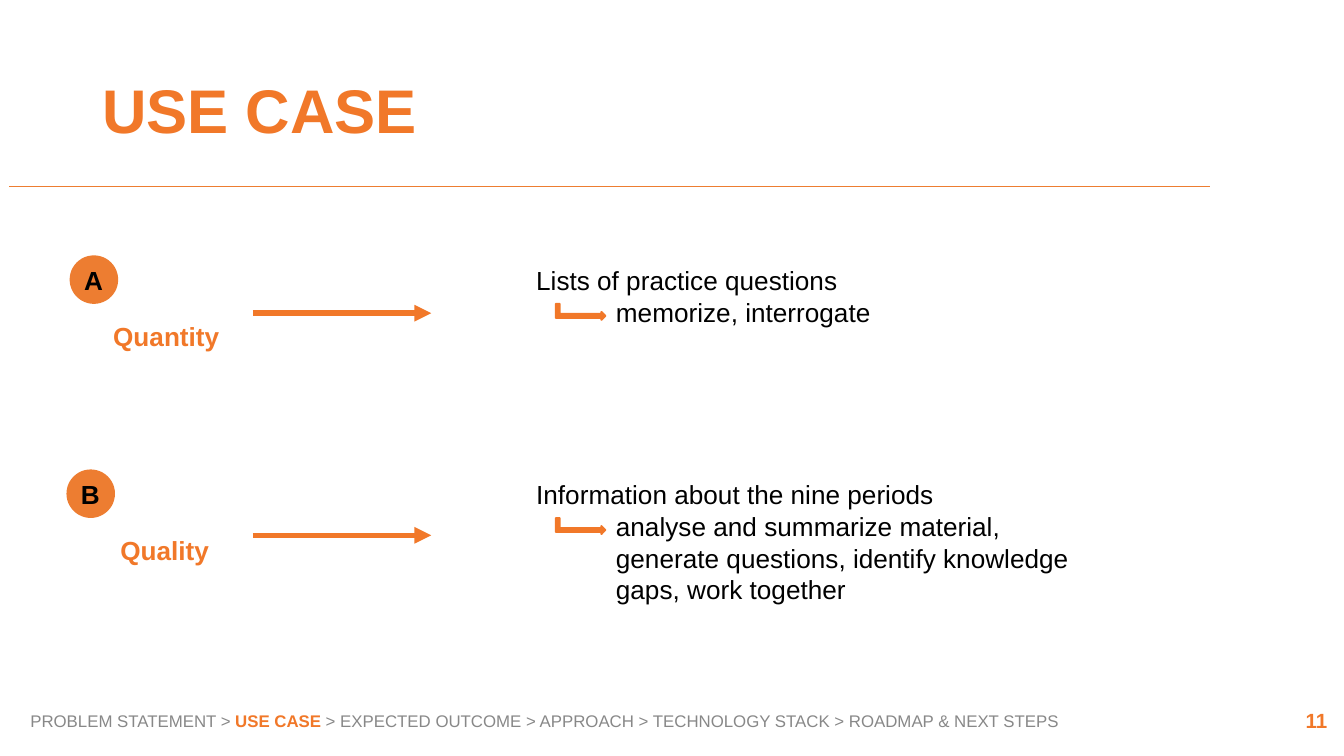
from lxml.etree import SubElement
from pptx import Presentation
from pptx.dml.color import RGBColor
from pptx.enum.shapes import MSO_CONNECTOR as Connector, MSO_SHAPE as Shape
from pptx.enum.text import MSO_ANCHOR as Anchor, MSO_AUTO_SIZE as AutoSize, PP_ALIGN as Align
from pptx.oxml.ns import qn
from pptx.util import Pt

ORANGE = RGBColor(0xF1, 0x78, 0x29)
BADGE_ORANGE = RGBColor(0xED, 0x7D, 0x31)
GRAY = RGBColor(0x88, 0x88, 0x88)
BLACK = RGBColor(0, 0, 0)

BODY = {"size": Pt(14), "bold": False, "color": BLACK}
LABEL = {"size": Pt(14), "bold": True, "color": ORANGE}
LETTER = {"size": Pt(14), "bold": True, "color": BLACK}
TITLE = {"size": Pt(33), "bold": True, "color": ORANGE}
PAGE_NUMBER = {"size": Pt(11), "bold": True, "color": ORANGE}
TRAIL = {"size": Pt(9), "bold": False, "color": GRAY}
TRAIL_CURRENT = {"size": Pt(9), "bold": True, "color": ORANGE}


class SlideBuilder:
    font_name = "Arial"
    frame_format = {
        "margin_left": Pt(5.25), "margin_right": Pt(5.25),
        "margin_top": Pt(2.63), "margin_bottom": Pt(2.63),
        "word_wrap": True,
    }

    def __init__(self, slide):
        self.slide = slide

    def text(self, box, runs, anchor=Anchor.TOP, align=Align.LEFT, spacing=None, grow=False, parent=None):
        """Add a text box; runs is a list of (wording, font format) pairs."""
        shape = (parent or self.slide).shapes.add_textbox(*map(Pt, box))
        frame = shape.text_frame
        for name, value in self.frame_format.items():
            setattr(frame, name, value)
        frame.vertical_anchor = anchor
        frame.auto_size = AutoSize.SHAPE_TO_FIT_TEXT if grow else AutoSize.NONE
        paragraph = frame.paragraphs[0]
        paragraph.alignment = align
        paragraph.line_spacing = spacing
        for wording, font_format in runs:
            run = paragraph.add_run()
            run.text = wording
            run.font.name = self.font_name
            for name, value in font_format.items():
                if name == "color":
                    run.font.color.rgb = value
                else:
                    setattr(run.font, name, value)

    def shape(self, kind, box, fill, outline=None, rotation=0, parent=None):
        shape = (parent or self.slide).shapes.add_shape(kind, *map(Pt, box))
        shape.shadow.inherit = False
        shape.rotation = rotation
        shape.fill.solid()
        shape.fill.fore_color.rgb = fill
        if outline:
            shape.line.color.rgb = outline
            shape.line.width = Pt(1)
        else:
            shape.line.fill.background()

    def line(self, left, right, y, color, width, arrow=False):
        """Add a horizontal line, with an arrowhead at its right end if asked."""
        connector = self.slide.shapes.add_connector(Connector.STRAIGHT, Pt(left), Pt(y), Pt(right), Pt(y))
        connector.line.color.rgb = color
        connector.line.width = Pt(width)
        properties = connector._element.spPr
        if arrow:
            SubElement(properties.find(qn("a:ln")), qn("a:tailEnd"), type="triangle")
        SubElement(properties, qn("a:effectLst"))

    def badge(self, letter, label, left, top, label_left, label_width):
        """Add a lettered circle grouped with its label."""
        group = self.slide.shapes.add_group_shape()
        self.text((label_left, top + 32, label_width, 22), [(label, LABEL)], grow=True, parent=group)
        self.shape(Shape.OVAL, (left, top, 26, 26), BADGE_ORANGE, parent=group)
        self.text((left + 2.5, top + 2.2, 21, 22), [(letter, LETTER)], grow=True, parent=group)

    def use_case(self, top, heading, detail, heading_width, detail_box, arrow_y):
        self.text((282, top + 2.2, heading_width, 22), [(heading, BODY)], grow=True)
        self.line(135.5, 231, arrow_y, ORANGE, 3, arrow=True)
        width, height = detail_box
        self.text((324.7, top + 19.4, width, height), [(detail, BODY)], grow=True)
        self.shape(Shape.BENT_UP_ARROW, (306.7, top + 17, 8.6, 26.6), ORANGE, ORANGE, rotation=90)


def main():
    presentation = Presentation()
    presentation.slide_width, presentation.slide_height = Pt(720), Pt(405)
    builder = SlideBuilder(presentation.slides.add_slide(presentation.slide_layouts[6]))

    builder.text((49.5, 21.6, 621, 78.3), [("USE CASE", TITLE)], Anchor.MIDDLE, spacing=0.9)
    builder.line(5, 648, 100, BADGE_ORANGE, 0.75)

    builder.badge("A", "Quantity", 37.3, 136.8, 55.4, 71.5)
    builder.use_case(136.8, "Lists of practice questions", "memorize, interrogate",
                     212, (212, 22), 167.8)
    builder.badge("B", "Quality", 35.6, 251.5, 59.2, 67.5)
    builder.use_case(251.5, "Information about the nine periods",
                     "analyse and summarize material, generate questions, identify knowledge gaps, work together",
                     250, (254, 56), 286.8)

    trail = [
        ("PROBLEM STATEMENT > ", TRAIL),
        ("USE CASE ", TRAIL_CURRENT),
        ("> EXPECTED OUTCOME > APPROACH > TECHNOLOGY STACK > ROADMAP & NEXT STEPS", TRAIL),
    ]
    builder.text((11, 375.3, 580, 21.6), trail, Anchor.MIDDLE)
    builder.text((554.4, 375.3, 162, 21.6), [("11", PAGE_NUMBER)], Anchor.MIDDLE, Align.RIGHT)

    presentation.save("out.pptx")


if __name__ == "__main__":
    main()
